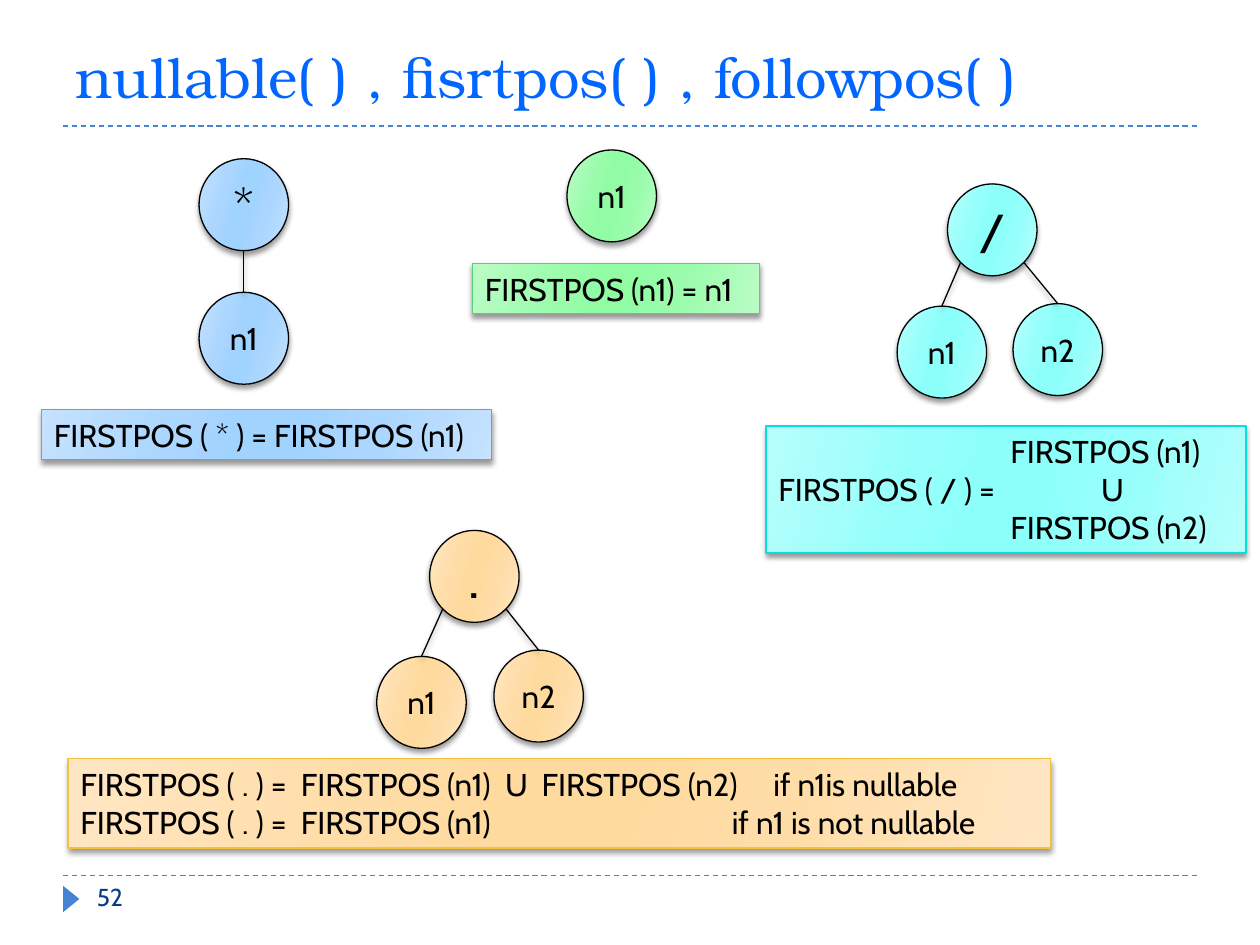
"""Build the slide on firstpos rules for syntax-tree nodes."""
from copy import deepcopy
from dataclasses import dataclass
from math import sqrt

from lxml.etree import SubElement
from pptx import Presentation
from pptx.dml.color import RGBColor
from pptx.enum.dml import MSO_LINE
from pptx.enum.shapes import MSO_CONNECTOR, MSO_SHAPE
from pptx.enum.text import MSO_ANCHOR, PP_ALIGN
from pptx.oxml.ns import qn
from pptx.shapes.base import BaseShape
from pptx.slide import Slide
from pptx.text.text import TextFrame
from pptx.util import Inches, Length, Pt

BLACK = RGBColor(0x00, 0x00, 0x00)
TITLE_BLUE = RGBColor(0x00, 0x66, 0xFF)
RULE_BLUE = RGBColor(0x45, 0x84, 0xD3)
NUMBER_BLUE = RGBColor(0x07, 0x3E, 0x87)

BODY_FONT = "Cabin"
TITLE_FONT = "TeX Gyre Bonum"
COLUMNS, ROWS = 100, 75
NODE_WIDTH, NODE_HEIGHT = 7.1, 7.3
GRADIENT_POSITIONS = (0, 0.3, 0.45, 0.55, 0.73, 1)


@dataclass(frozen=True)
class Palette:
    """Gradient shades from edge to centre, and the caption border."""
    edge: RGBColor
    middle: RGBColor
    centre: RGBColor
    border: RGBColor


@dataclass(frozen=True)
class Area:
    """A rectangle in grid columns and rows."""
    column: float
    row: float
    width: float
    height: float


@dataclass(frozen=True)
class Node:
    """A tree node; a child's place is relative to its root."""
    label: str
    column: float
    row: float
    size: int = 18


@dataclass(frozen=True)
class Line:
    """A caption line with its tab stops in columns."""
    text: str
    stops: tuple[float, ...] = ()


@dataclass(frozen=True)
class Rule:
    """A syntax tree with the caption that states its rule."""
    palette: Palette
    root: Node
    children: tuple[Node, ...]
    area: Area
    lines: tuple[Line, ...]


GREEN = Palette(RGBColor(0xBB, 0xFC, 0xC6), RGBColor(0x9C, 0xFC, 0xAD),
                RGBColor(0x91, 0xFC, 0xA4), RGBColor(0x5B, 0xD0, 0x78))
CYAN = Palette(RGBColor(0xB7, 0xFF, 0xFC), RGBColor(0x97, 0xFF, 0xFB),
               RGBColor(0x8C, 0xFF, 0xFA), RGBColor(0x05, 0xE0, 0xDB))
ORANGE = Palette(RGBColor(0xFF, 0xE6, 0xC3), RGBColor(0xFF, 0xDD, 0xA8),
                 RGBColor(0xFF, 0xDA, 0x9E), RGBColor(0xF5, 0xC0, 0x40))
BLUE = Palette(RGBColor(0xC5, 0xE2, 0xFF), RGBColor(0xAB, 0xD6, 0xFF),
               RGBColor(0xA1, 0xD3, 0xFF), RGBColor(0x31, 0xB6, 0xFD))

RULES = (
    Rule(GREEN, Node("n1", 45, 11.9), (), Area(37.5, 20.9, 22.8, 4),
         (Line("FIRSTPOS (n1) = n1"),)),
    Rule(CYAN, Node("/", 75.2, 14.6, 28), (Node("n1", -4, 9.7), Node("n2", 5.2, 9.5)),
         Area(60.8, 33.8, 38.1, 10.1),
         (Line("\tFIRSTPOS (n1)", (18.4,)),
          Line("FIRSTPOS ( / ) =\tU", (25.6,)),
          Line("\tFIRSTPOS (n2)", (18.4,)))),
    Rule(ORANGE, Node(".", 34.1, 42.1, 32), (Node("n1", -4.2, 10), Node("n2", 5.1, 9.5)),
         Area(5.4, 60.2, 78, 7.1),
         (Line("FIRSTPOS ( . ) =\tFIRSTPOS (n1)\tU\tFIRSTPOS (n2)\tif n1is nullable",
               (17.5, 33.7, 36.6, 55)),
          Line("FIRSTPOS ( . ) =\tFIRSTPOS (n1)\tif n1 is not nullable", (17.5, 51.7)))),
    Rule(BLUE, Node("*", 15.8, 12.6, 28), (Node("n1", 0, 10.6),), Area(3.3, 32.5, 35.7, 4),
         (Line("FIRSTPOS ( * ) = FIRSTPOS (n1)"),)),
)


def across(columns: float) -> Length:
    """Turn grid columns into a length."""
    return Inches(10 * columns / COLUMNS)


def down(rows: float) -> Length:
    """Turn grid rows into a length."""
    return Inches(7.5 * rows / ROWS)


def place(area: Area) -> tuple[Length, ...]:
    """Give the left, top, width and height of an area."""
    return across(area.column), down(area.row), across(area.width), down(area.height)


def set_effects(shape: BaseShape, shadowed: bool) -> None:
    """Replace the theme's effects by a soft shadow or by nothing."""
    effects = SubElement(shape._element.spPr, qn("a:effectLst"))
    if shadowed:
        shadow = SubElement(effects, qn("a:outerShdw"), blurRad=str(Pt(3)), dist=str(Pt(2)),
                            dir="5400000", rotWithShape="0")
        color = SubElement(shadow, qn("a:srgbClr"), val=str(BLACK))
        SubElement(color, qn("a:alpha"), val="40000")


def write(frame: TextFrame, lines: tuple[Line, ...], size: int, color: RGBColor = BLACK,
          font: str = BODY_FONT, alignment: PP_ALIGN = PP_ALIGN.LEFT,
          anchor: MSO_ANCHOR = MSO_ANCHOR.TOP) -> None:
    """Fill a text frame with evenly styled lines."""
    frame.word_wrap = True
    frame.vertical_anchor = anchor
    for index, line in enumerate(lines):
        paragraph = frame.add_paragraph() if index else frame.paragraphs[0]
        paragraph.text = line.text
        paragraph.alignment = alignment
        if line.stops:
            tabs = SubElement(paragraph._p.get_or_add_pPr(), qn("a:tabLst"))
            for stop in line.stops:
                SubElement(tabs, qn("a:tab"), pos=str(across(stop)), algn="l")
        paragraph.font.name = font
        paragraph.font.size = Pt(size)
        paragraph.font.color.rgb = color


def draw_panel(page: Slide, kind: MSO_SHAPE, area: Area, palette: Palette,
               border: RGBColor) -> TextFrame:
    """Draw a shadowed gradient shape and return its text frame."""
    shape = page.shapes.add_shape(kind, *place(area))
    shape.fill.gradient()
    shape.fill.gradient_angle = 344
    stops = shape._element.spPr.find(f".//{qn('a:gsLst')}")
    for _ in range(len(GRADIENT_POSITIONS) - len(stops)):
        stops.append(deepcopy(stops[0]))
    half = (palette.edge, palette.middle, palette.centre)
    for stop, position, color in zip(shape.fill.gradient_stops, GRADIENT_POSITIONS,
                                     half + half[::-1]):
        stop.position = position
        stop.color.rgb = color
    shape.line.color.rgb = border
    shape.line.width = Pt(0.75)
    set_effects(shape, True)
    return shape.text_frame


def draw_line(page: Slide, start: tuple[float, float], end: tuple[float, float],
              color: RGBColor, dashed: bool = False) -> None:
    """Draw a dashed rule or a shadowed tree edge."""
    line = page.shapes.add_connector(MSO_CONNECTOR.STRAIGHT, across(start[0]), down(start[1]),
                                     across(end[0]), down(end[1]))
    line.line.color.rgb = color
    line.line.width = Pt(0.75)
    if dashed:
        line.line.dash_style = MSO_LINE.DASH
    set_effects(line, not dashed)


def draw_rule(page: Slide, rule: Rule) -> None:
    """Draw a tree and its caption, joining the root's rim to each child's top."""
    root = rule.root
    children = [Node(child.label, root.column + child.column, root.row + child.row)
                for child in rule.children]
    for node in (*children, root):
        area = Area(node.column, node.row, NODE_WIDTH, NODE_HEIGHT)
        frame = draw_panel(page, MSO_SHAPE.OVAL, area, rule.palette, BLACK)
        write(frame, (Line(node.label),), node.size, alignment=PP_ALIGN.CENTER,
              anchor=MSO_ANCHOR.MIDDLE)
    for child in children:
        side = (child.column > root.column) - (child.column < root.column)
        reach = 1 / sqrt(2) if side else 1
        start = (root.column + NODE_WIDTH / 2 * (1 + side * reach),
                 root.row + NODE_HEIGHT / 2 * (1 + reach))
        draw_line(page, start, (child.column + NODE_WIDTH / 2, child.row), BLACK)
    frame = draw_panel(page, MSO_SHAPE.RECTANGLE, rule.area, rule.palette, rule.palette.border)
    write(frame, rule.lines, 18)


def main() -> None:
    """Build and save the deck."""
    deck = Presentation()
    deck.slide_width, deck.slide_height = across(COLUMNS), down(ROWS)
    page = deck.slides.add_slide(deck.slide_layouts[6])
    for row in (69.5, 10):
        draw_line(page, (5, row), (95, row), RULE_BLUE, dashed=True)
    marker = page.shapes.add_shape(MSO_SHAPE.ISOSCELES_TRIANGLE,
                                   *place(Area(4.6, 70.7, 2.1, 1.3)))
    marker.rotation = 90
    marker.fill.solid()
    marker.fill.fore_color.rgb = RULE_BLUE
    marker.line.fill.background()
    marker.shadow.inherit = False
    title = page.shapes.add_textbox(*place(Area(5, 1.7, 90, 7.5)))
    write(title.text_frame, (Line("nullable( ) , fisrtpos( ) , followpos( )"),), 32, TITLE_BLUE,
          TITLE_FONT, anchor=MSO_ANCHOR.BOTTOM)
    number = page.shapes.add_textbox(*place(Area(6.7, 69.5, 5, 4)))
    write(number.text_frame, (Line("52"),), 14, NUMBER_BLUE)
    for rule in RULES:
        draw_rule(page, rule)
    deck.save("out.pptx")


if __name__ == "__main__":
    main()
